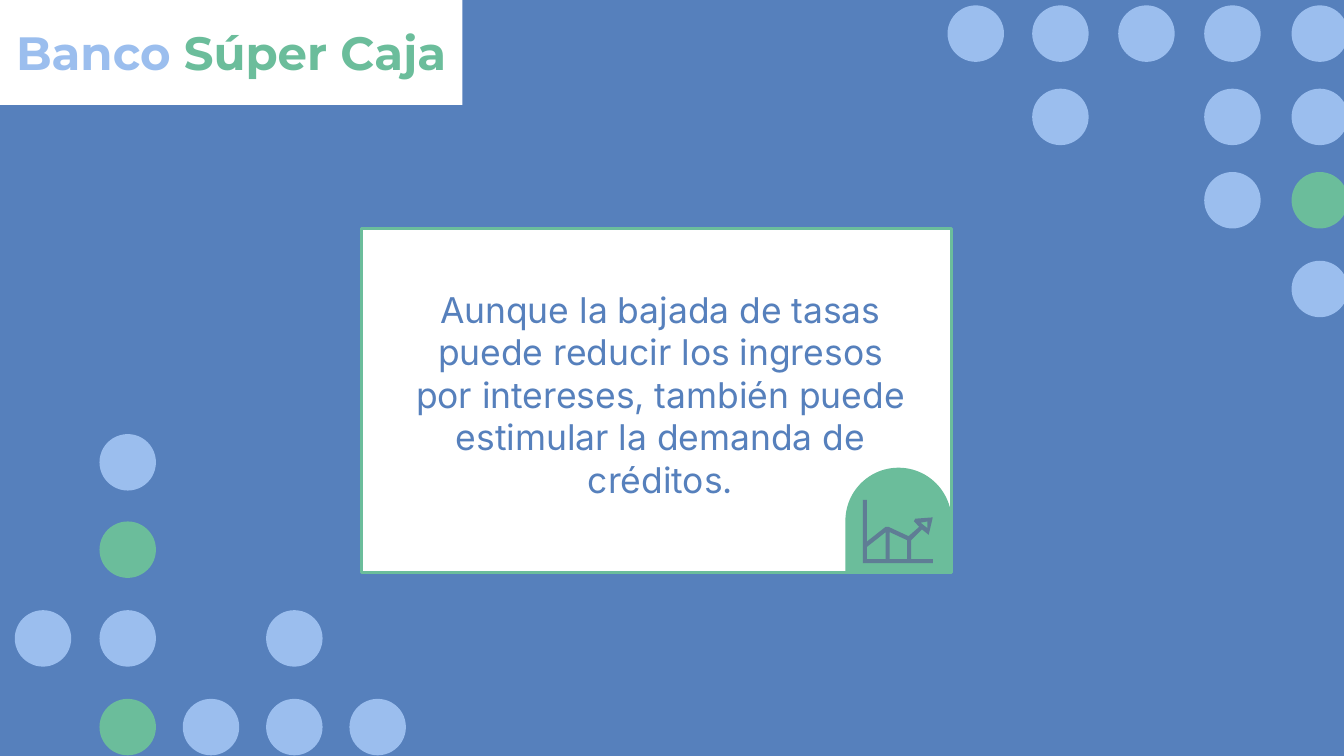
import pptx
import pptx.dml.color
import pptx.enum.shapes
import pptx.enum.text
import pptx.util

Inches = pptx.util.Inches
Pt = pptx.util.Pt
Kind = pptx.enum.shapes.MSO_SHAPE
Anchor = pptx.enum.text.MSO_ANCHOR

BLUE, SKY, GREEN, WHITE, SLATE = "5680BC", "9BBEEE", "6BBD9B", "FFFFFF", "5F7D95"

TITLE = [("Banco ", SKY), ("Súper Caja", GREEN)]
BODY = [("Aunque la bajada de tasas puede reducir los ingresos por intereses, "
         "también puede estimular la demanda de créditos.", BLUE)]

# Dot fields: s = sky dot, g = green dot, . = gap
DOT = 0.42
TINTS = {"s": SKY, "g": GREEN}
FIELDS = [
    {"cols": [0.11, 0.74, 1.36, 1.98, 2.6], "rows": [3.23, 3.88, 4.54, 5.2],
     "dots": [".s...", ".g...", "ss.s.", ".gsss"]},
    {"cols": [7.05, 7.68, 8.32, 8.96, 9.61], "rows": [0.04, 0.66, 1.28, 1.94],
     "dots": ["sssss", ".s.ss", "...sg", "....s"]},
]

# Chart icon in hundredths of an inch: outer edge, then the holes in it
ICON = [
    [(642, 372), (642, 419), (694, 419), (694, 416), (678, 416), (678, 402),
     (686, 394), (691, 398), (694, 385), (681, 386), (680, 388), (684, 392),
     (676, 399), (661, 392), (659, 392), (645, 403), (645, 372)],
    [(690, 388), (690, 393), (685, 389)],
    [(659, 396), (659, 416), (645, 416), (645, 407)],
    [(662, 396), (675, 402), (675, 416), (662, 416)],
]


def color(value):
    return pptx.dml.color.RGBColor.from_string(value)


def paint(shape, fill, line=None):
    shape.shadow.inherit = False
    shape.fill.solid()
    shape.fill.fore_color.rgb = color(fill)
    if line:
        shape.line.color.rgb = color(line)
        shape.line.width = Pt(1.5)
    else:
        shape.line.fill.background()
    return shape


def add(home, kind, box, fill, line=None):
    return paint(home.add_shape(kind, *map(Inches, box)), fill, line)


def write(shape, runs, anchor, style):
    """Fill a shape with one centred paragraph of (text, colour) runs."""
    frame = shape.text_frame
    frame.word_wrap = True
    frame.vertical_anchor = anchor
    for side in ("left", "right", "top", "bottom"):
        setattr(frame, "margin_" + side, Inches(0.1))
    para = frame.paragraphs[0]
    para.alignment = pptx.enum.text.PP_ALIGN.CENTER
    for text, tint in runs:
        run = para.add_run()
        run.text = text
        run.font.color.rgb = color(tint)
        for key, value in style.items():
            setattr(run.font, key, value)


def draw_dots(shapes, field):
    group = shapes.add_group_shape().shapes
    for top, line in zip(field["rows"], field["dots"]):
        for left, mark in zip(field["cols"], line):
            if mark in TINTS:
                add(group, Kind.OVAL, (left, top, DOT, DOT), TINTS[mark])


def draw_icon(shapes):
    edge, *holes = ICON
    pen = shapes.build_freeform(*edge[0], scale=Inches(0.01))
    pen.add_line_segments(edge[1:], close=True)
    for hole in holes:
        pen.move_to(*hole[0])
        pen.add_line_segments(hole[1:], close=True)
    paint(pen.convert_to_shape(), SLATE)


def main():
    deck = pptx.Presentation()
    deck.slide_width = Inches(10)
    deck.slide_height = int(deck.slide_width * 9 / 16)
    slide = deck.slides.add_slide(deck.slide_layouts[6])
    slide.background.fill.solid()
    slide.background.fill.fore_color.rgb = color(BLUE)
    shapes = slide.shapes

    for field in FIELDS:
        draw_dots(shapes, field)

    add(shapes, Kind.RECTANGLE, (2.69, 1.7, 4.39, 2.56), WHITE, GREEN)
    body = shapes.add_textbox(*map(Inches, (2.95, 2.04, 3.93, 1.8)))
    write(body, BODY, Anchor.TOP, {"name": "Inter", "size": Pt(19)})

    arch = add(shapes, Kind.ROUND_2_SAME_RECTANGLE, (6.29, 3.48, 0.79, 0.79), GREEN)
    arch.adjustments[0] = 0.5
    draw_icon(shapes)

    title = add(shapes, Kind.RECTANGLE, (0, -0.01, 3.44, 0.79), WHITE)
    write(title, TITLE, Anchor.MIDDLE,
          {"name": "Montserrat", "size": Pt(25), "bold": True})

    deck.save("out.pptx")


if __name__ == "__main__":
    main()
